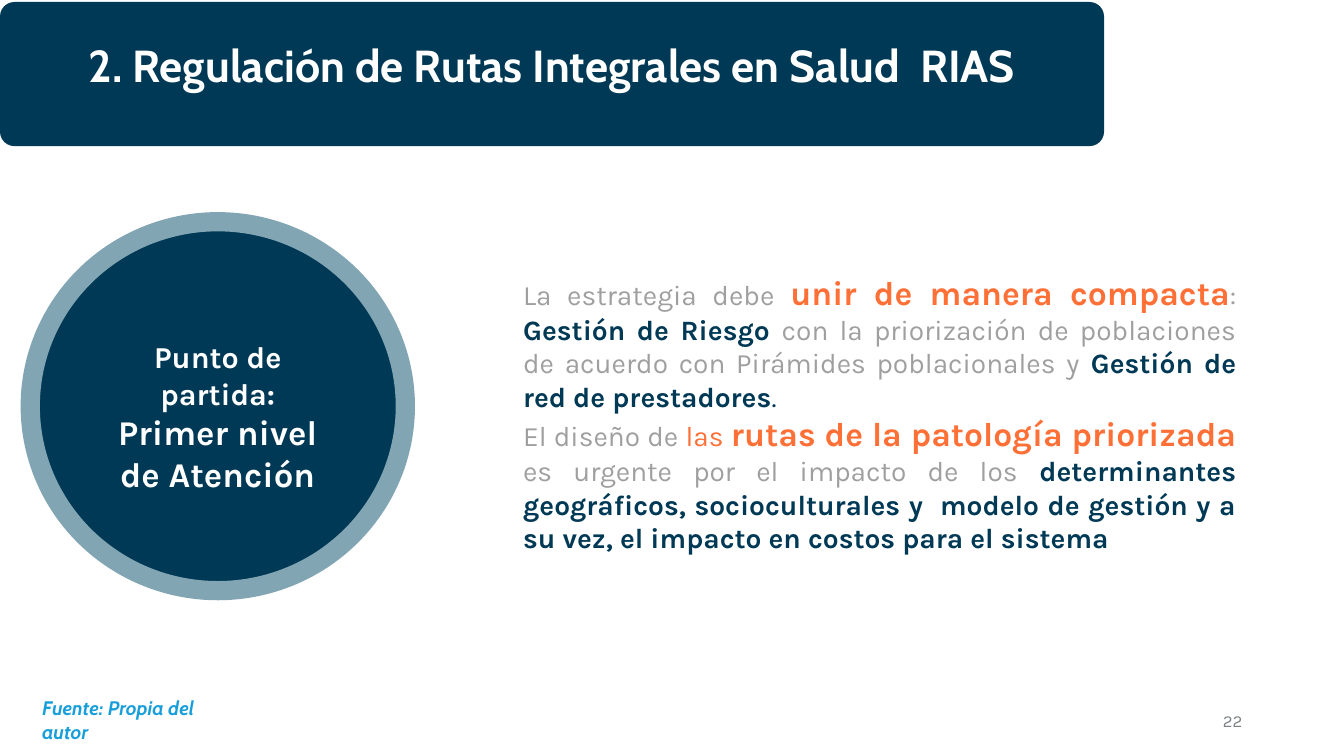
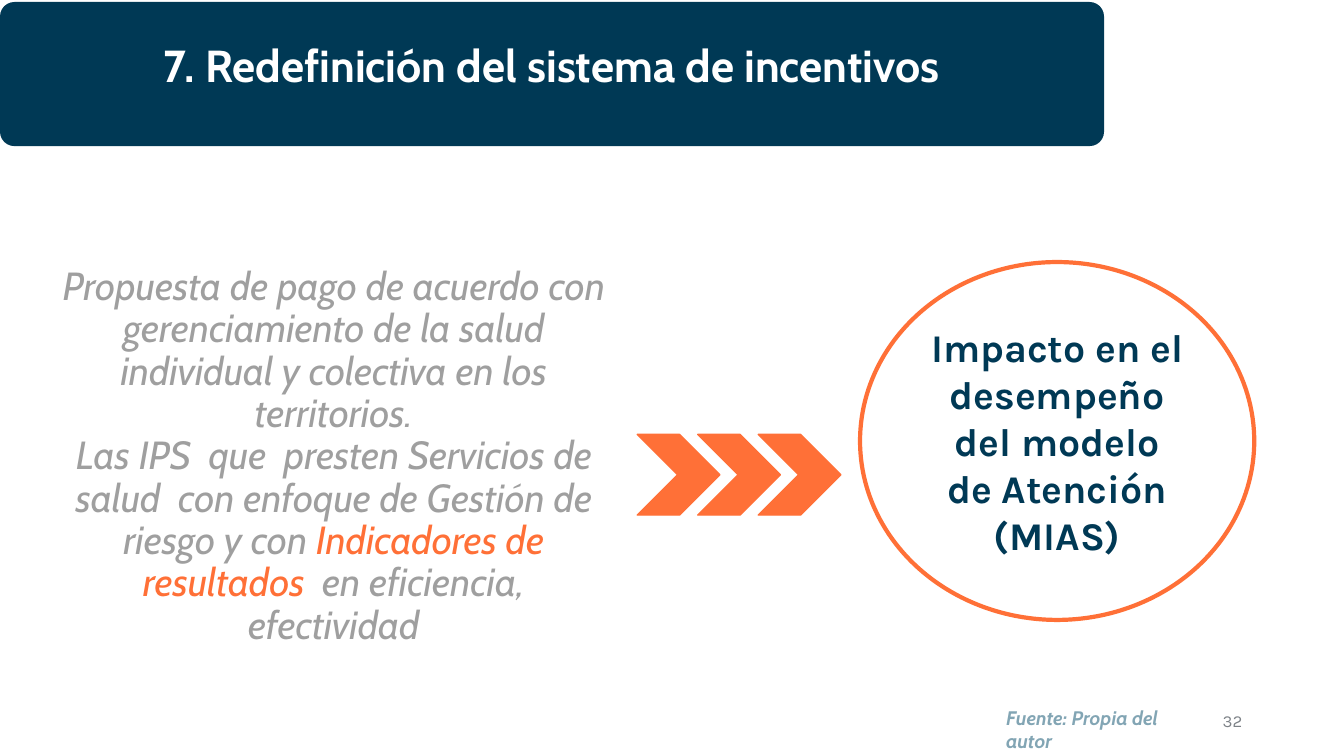
from pptx import Presentation
from pptx import util as u
from pptx.dml import color as dc
from pptx.enum import shapes, text

NAVY, ORANGE, GREY, STEEL = "003955", "FF7037", "9F9F9F", "82A5B4"
SKY, SLATE, WHITE = "189ED9", "7D8287", "FFFFFF"
KINDS = shapes.MSO_SHAPE
ALIGN = text.PP_ALIGN
MIDDLE = text.MSO_ANCHOR.MIDDLE


def rgb(code):
    return dc.RGBColor.from_string(code)


def style(font, size=None, tone=None, bold=None, slant=None, face=None):
    if size:
        font.size = u.Pt(size)
    if tone:
        font.color.rgb = rgb(tone)
    if face:
        font.name = face
    if bold is not None:
        font.bold = bold
    if slant is not None:
        font.italic = slant


def write(frame, lines, align, anchor=text.MSO_ANCHOR.TOP, space=None, **look):
    frame.word_wrap = True
    frame.vertical_anchor = anchor
    for i, runs in enumerate(lines):
        par = frame.add_paragraph() if i else frame.paragraphs[0]
        par.alignment = align
        if space:
            par.line_spacing = space
        style(par.font, **look)
        for words, own in runs:
            run = par.add_run()
            run.text = words
            style(run.font, **{**look, **own})


def label(slide, box, lines, align, **look):
    area = slide.shapes.add_textbox(*map(u.Inches, box))
    write(area.text_frame, lines, align, **look)


def shape(slide, kind, box, fill=None, line=None, width=1):
    item = slide.shapes.add_shape(kind, *map(u.Inches, box))
    item.shadow.inherit = False
    if fill:
        item.fill.solid()
        item.fill.fore_color.rgb = rgb(fill)
    else:
        item.fill.background()
    if line:
        item.line.color.rgb = rgb(line)
        item.line.width = u.Pt(width)
    else:
        item.line.fill.background()
    return item


def start(deck, title, number):
    slide = deck.slides.add_slide(deck.slide_layouts[6])
    band = shape(slide, KINDS.ROUNDED_RECTANGLE, (0, 0.02, 10.95, 1.43), NAVY)
    band.adjustments[0] = 0.1
    write(band.text_frame, [[(title, {})]], ALIGN.CENTER, space=1.5,
          size=32, tone=WHITE, bold=True, face="Cabin")
    label(slide, (9.42, 6.95, 3, 0.4), [[(number, {})]], ALIGN.RIGHT,
          anchor=MIDDLE, size=12, tone=SLATE, face="Karla")
    return slide


def source(slide, left, top, tone):
    label(slide, (left, top, 2.07, 0.34), [[("Fuente: Propia del autor", {})]],
          ALIGN.LEFT, size=14, tone=tone, bold=True, slant=True, face="Cabin")


def circle(slide, box, lines, fill, line, width, drop=0, **look):
    disc = shape(slide, KINDS.OVAL, box, fill, line, width)
    disc.text_frame.margin_top = u.Inches(0.05 + drop)
    write(disc.text_frame, lines, ALIGN.CENTER, anchor=MIDDLE,
          bold=True, face="Karla", **look)


def arrows(slide, left, top, count=3, step=0.6):
    for i in range(count):
        shape(slide, KINDS.CHEVRON, (left + i * step, top, 0.82, 0.8),
              ORANGE, ORANGE)


def routes(deck):
    slide = start(deck, "2. Regulación de Rutas Integrales en Salud  RIAS", "22")
    circle(slide, (0.3, 2.2, 3.72, 3.66),
           [[("Punto de partida:", {"size": 21.7})],
            [("Primer nivel de Atención", {})]],
           NAVY, STEEL, 13.75, drop=0.2, size=24.8, tone=WHITE)
    key = {"tone": NAVY, "bold": True}
    big = {"size": 24, "tone": ORANGE, "bold": True}
    label(slide, (5.09, 2.65, 7.27, 2.9), [
        [("La estrategia debe ", {}),
         ("unir de manera compacta", big),
         (": ", {}),
         ("Gestión de Riesgo ", key),
         ("con la priorización de poblaciones de acuerdo con "
          "Pirámides poblacionales y ", {}),
         ("Gestión de red de prestadores", key),
         (".", {"tone": NAVY})],
        [("El diseño de ", {}),
         ("las ", {"tone": ORANGE}),
         ("rutas de la patología priorizada ", big),
         ("es urgente por el impacto de los ", {}),
         ("determinantes geográficos, socioculturales y  modelo de gestión "
          "y a su vez, el impacto en costos para el sistema", key)],
    ], ALIGN.JUSTIFY, size=20, tone=GREY, face="Karla")
    source(slide, 0.32, 6.86, SKY)


def rewards(deck):
    slide = start(deck, "7. Redefinición del sistema de incentivos", "32")
    label(slide, (0.51, 2.6, 5.6, 3.87), [
        [("Propuesta de pago de acuerdo con gerenciamiento de la salud "
          "individual y colectiva en los territorios.", {})],
        [("Las IPS  que  presten Servicios de salud  con enfoque de "
          "Gestión de riesgo y con ", {}),
         ("Indicadores de resultados  ", {"tone": ORANGE}),
         ("en eficiencia, efectividad", {})],
    ], ALIGN.CENTER, anchor=MIDDLE, space=0.9,
        size=28, tone=GREY, slant=True, face="Cabin")
    arrows(slide, 6.32, 4.31)
    circle(slide, (8.53, 2.6, 3.91, 3.55),
           [[("Impacto en el desempeño del modelo de Atención (MIAS)", {})]],
           None, ORANGE, 3, size=28, tone=NAVY)
    source(slide, 9.88, 6.95, STEEL)


def main():
    deck = Presentation()
    deck.slide_width = u.Inches(13.33)
    deck.slide_height = u.Inches(7.5)
    routes(deck)
    rewards(deck)
    deck.save("out.pptx")


if __name__ == "__main__":
    main()
